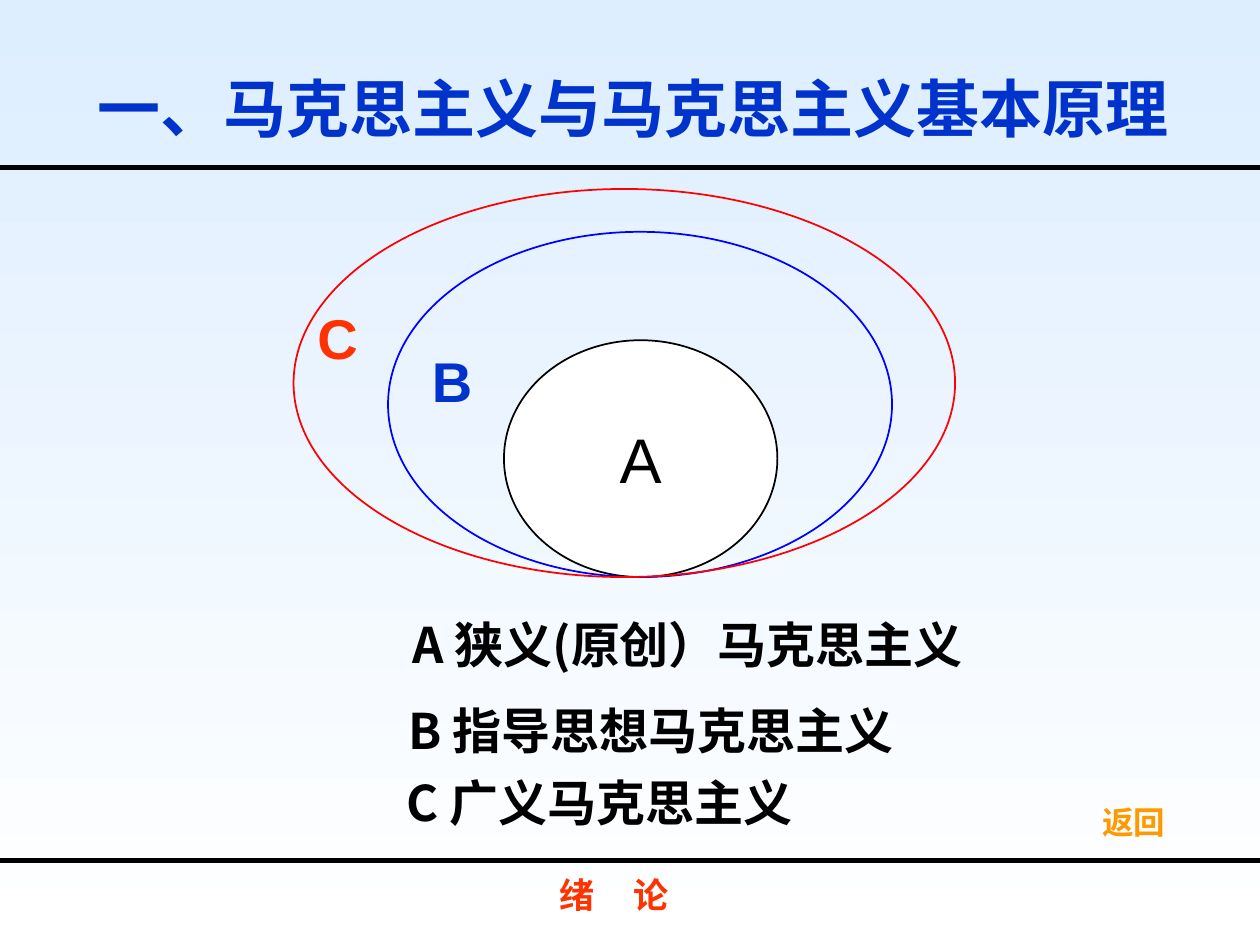
from dataclasses import dataclass

from lxml.etree import SubElement
from pptx import Presentation
from pptx.dml.color import RGBColor
from pptx.enum.shapes import MSO_CONNECTOR, MSO_SHAPE
from pptx.enum.text import MSO_ANCHOR, MSO_AUTO_SIZE, PP_ALIGN
from pptx.oxml.ns import qn
from pptx.util import Inches, Pt


@dataclass(frozen=True)
class Theme:
    """Colours, fonts and type sizes of the slide."""
    sky: str = "DDEEFF"
    white: str = "FFFFFF"
    black: str = "000000"
    navy: str = "0033CC"
    blue: str = "0000FF"
    red: str = "FF0000"
    flame: str = "FF3300"
    amber: str = "FF9900"
    latin: str = "Arial"
    han: str = "Noto Sans CJK SC"
    head: int = 36
    mark: int = 32
    item: int = 28
    foot: int = 20
    link: int = 18
    rule: int = 3
    ring: int = 1


THEME = Theme()


def color(code):
    """Turn a hex code into a colour."""
    return RGBColor.from_string(code)


def write(shape, text, size, tint, face=THEME.latin, bold=True,
          align=PP_ALIGN.LEFT, anchor=MSO_ANCHOR.TOP, wrap=True):
    """Put one formatted line of text in a shape."""
    frame = shape.text_frame
    frame.text = text
    frame.word_wrap = wrap
    frame.auto_size = MSO_AUTO_SIZE.NONE
    frame.vertical_anchor = anchor
    para = frame.paragraphs[0]
    para.alignment = align
    for run in para.runs:
        font = run.font
        font.size, font.bold, font.name = Pt(size), bold, face
        font.color.rgb = color(tint)
        east = SubElement(run._r.get_or_add_rPr(), qn("a:ea"))
        east.set("typeface", THEME.han)
    return para


def label(slide, box, text, size, tint, **style):
    """Add a text box at the given box in inches."""
    shape = slide.shapes.add_textbox(*map(Inches, box))
    return write(shape, text, size, tint, **style)


def rule(slide, left, top, width):
    """Draw a thick level line."""
    line = slide.shapes.add_connector(
        MSO_CONNECTOR.STRAIGHT, Inches(left), Inches(top),
        Inches(left + width), Inches(top))
    line.line.color.rgb = color(THEME.black)
    line.line.width = Pt(THEME.rule)
    SubElement(line._element.spPr, qn("a:effectLst"))


def ring(slide, box, tint, fill=None):
    """Draw an ellipse, hollow unless a fill is given."""
    shape = slide.shapes.add_shape(MSO_SHAPE.OVAL, *map(Inches, box))
    shape.shadow.inherit = False
    shape.line.color.rgb = color(tint)
    shape.line.width = Pt(THEME.ring)
    if fill:
        shape.fill.solid()
        shape.fill.fore_color.rgb = color(fill)
    else:
        shape.fill.background()
    return shape


def paint(slide):
    """Fade the background from sky down to white."""
    fill = slide.background.fill
    fill.gradient()
    fill.gradient_angle = 270
    for stop, tint, spot in zip(fill.gradient_stops,
                                (THEME.sky, THEME.white), (0, 1)):
        stop.color.rgb = color(tint)
        stop.position = spot


def header(slide, left, top, width, height):
    """Place the title and the rule below it."""
    title = slide.shapes.title
    title.left, title.top = Inches(left + 0.67), Inches(top + 0.42)
    title.width, title.height = Inches(width - 1.1), Inches(0.86)
    write(title, "一、马克思主义与马克思主义基本原理", THEME.head, THEME.navy,
          anchor=MSO_ANCHOR.MIDDLE)
    rule(slide, left, top + height, width)


def rings(slide, left, top, width, height):
    """Nest three ellipses that touch at the bottom of the box."""
    base = top + height
    core = ring(slide, (left + 1.67, base - 1.88, 2.17, 1.88),
                THEME.black, THEME.white)
    write(core, "A", THEME.head, THEME.black, bold=False,
          align=PP_ALIGN.CENTER, anchor=MSO_ANCHOR.MIDDLE, wrap=False)
    ring(slide, (left + 0.75, base - 2.74, 4, 2.74), THEME.blue)
    ring(slide, (left, top, width, height), THEME.red)
    for text, tint, dx, dy in (("B", THEME.navy, 1, 1.2),
                               ("C", THEME.flame, 0.09, 0.86)):
        label(slide, (left + dx, top + dy, 0.5, 0.64), text,
              THEME.mark, tint)


def legend(slide, left, top):
    """List the meaning of each ring."""
    rows = (("A 狭义(原创）马克思主义", 0, 0, 5.25),
            ("B 指导思想马克思主义", 0.17, 0.68, 4.33),
            ("C 广义马克思主义", 0.09, 1.25, 3.67))
    for text, dx, dy, width in rows:
        label(slide, (left + dx, top + dy, width, 0.57), text, THEME.item,
              THEME.black, face=THEME.han, align=PP_ALIGN.CENTER)


def footer(slide, left, top, width):
    """Place the lower rule, the return label and the chapter name."""
    rule(slide, left, top, width)
    label(slide, (left + 8.71, top - 0.56, 0.58, 0.5), "返回", THEME.link,
          THEME.amber, align=PP_ALIGN.CENTER, anchor=MSO_ANCHOR.MIDDLE,
          wrap=False)
    para = label(slide, (left + 4.34, top + 0.05, 1.45, 0.44), "绪\t论",
                 THEME.foot, THEME.flame, face=THEME.han)
    tabs = SubElement(para._p.get_or_add_pPr(), qn("a:tabLst"))
    SubElement(tabs, qn("a:tab"), pos=str(Inches(0.59)), algn="l")


def main():
    """Build and save the slide."""
    deck = Presentation()
    deck.slide_width, deck.slide_height = Inches(10), Inches(7.5)
    slide = deck.slides.add_slide(deck.slide_layouts[5])
    paint(slide)
    header(slide, 0, 0, 10, 1.33)
    rings(slide, 2.33, 1.5, 5.25, 3.08)
    legend(slide, 2.83, 4.83)
    footer(slide, 0, 6.83, 10)
    deck.save("out.pptx")


if __name__ == "__main__":
    main()
